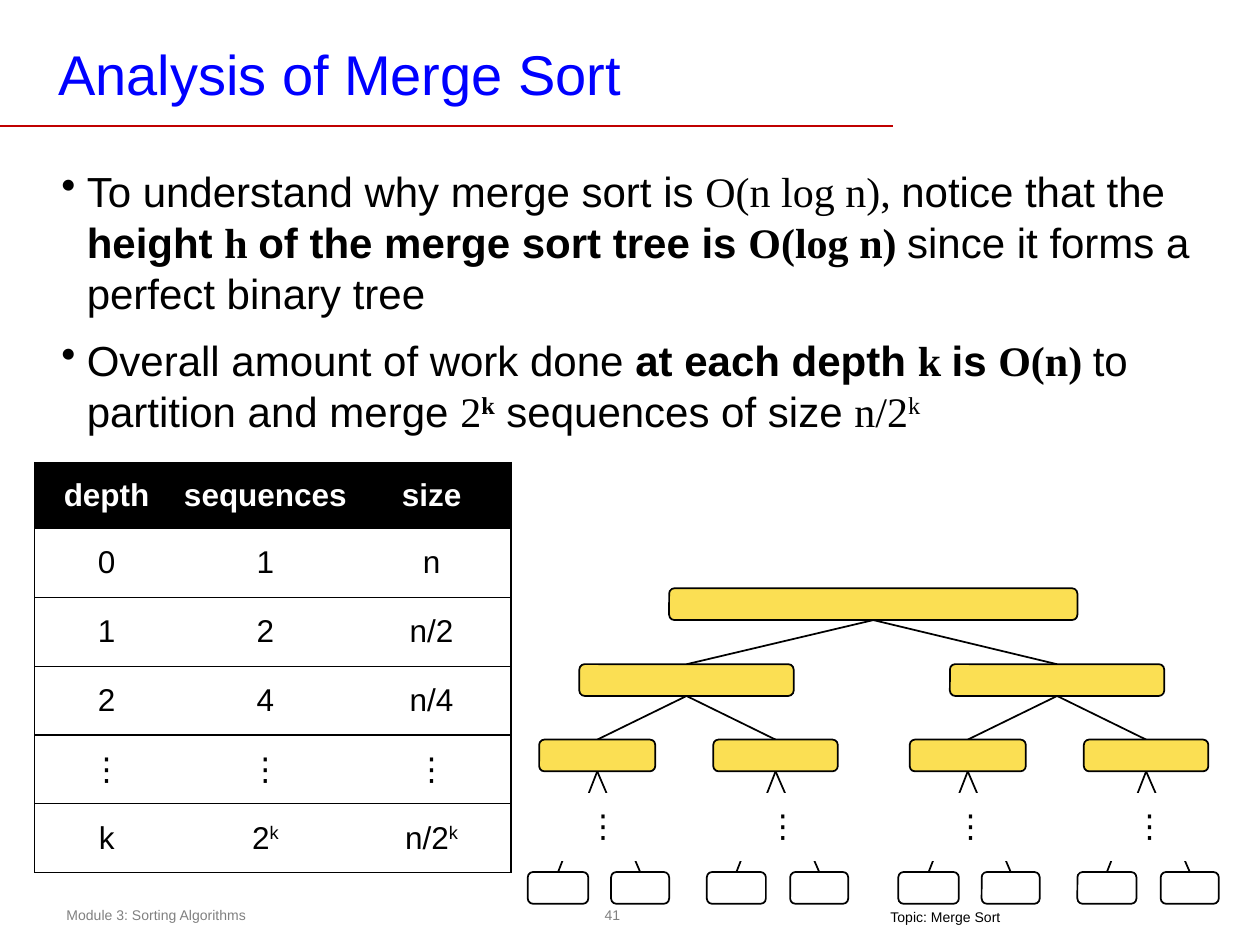
from dataclasses import dataclass

from lxml import etree
from pptx import Presentation
from pptx import util as u
from pptx.dml.color import RGBColor
from pptx.enum import shapes, text
from pptx.oxml.ns import qn


@dataclass(frozen=True)
class Theme:
    ink: str = "000000"
    paper: str = "FFFFFF"
    heading: str = "0000FF"
    rule: str = "C00000"
    muted: str = "808080"
    node: str = "FBDF53"
    sans: str = "Arial"
    serif: str = "Times New Roman"
    title_size: int = 32
    body_size: int = 24
    table_size: int = 18
    footer_size: int = 8


THEME = Theme()
NODE_HEIGHT = 0.64
HALF_OFFSET = 7.47
ROOT = (13.49, 8.23)
HALF_LEVELS = [
    (13.39, [(11.68, 4.32)], THEME.node),
    (14.91, [(10.87, 2.34), (14.38, 2.51)], THEME.node),
    (17.58, [(10.64, 1.22), (12.32, 1.17), (14.25, 1.19), (15.93, 1.17)], None),
]
BULLETS = [
    [("To understand why merge sort is ", ""), ("O(n log n), ", "serif"),
     ("notice that the ", ""), ("height ", "bold"), ("h ", "bold serif"),
     ("of the merge sort tree is ", "bold"), ("O(log n) ", "bold serif"),
     ("since it forms a perfect binary tree", "")],
    [("Overall amount of work done ", ""), ("at each depth ", "bold"),
     ("k ", "bold serif"), ("is ", "bold"), ("O(n) ", "bold serif"),
     ("to partition and merge ", ""), ("2", "serif"), ("k", "bold serif super"),
     (" sequences of size ", ""), ("n/2", "serif"), ("k", "serif super")],
]
DEPTH_ROWS = [
    ["depth", "sequences", "size"],
    ["0", "1", "n"],
    ["1", "2", "n/2"],
    ["2", "4", "n/4"],
    ["⋮", "⋮", "⋮"],
    ["k", "2^k", "n/2^k"],
]


def rgb(color):
    return RGBColor.from_string(color)


def style_font(font, size, color, bold=False):
    font.name = THEME.sans
    font.size = u.Pt(size)
    font.bold = bold
    font.color.rgb = rgb(color)


def add_run(paragraph, words, marks=""):
    run = paragraph.add_run()
    run.text = words
    if "serif" in marks:
        run.font.name = THEME.serif
    if "bold" in marks:
        run.font.bold = True
    if "super" in marks:
        run._r.get_or_add_rPr().set("baseline", "30000")


def add_frame(slide, left, top, width, height, insets=(0.25, 0.13, 0.25, 0.13), wrap=True):
    frame = slide.shapes.add_textbox(
        u.Cm(left), u.Cm(top), u.Cm(width), u.Cm(height)).text_frame
    frame.word_wrap = wrap
    (frame.margin_left, frame.margin_top,
     frame.margin_right, frame.margin_bottom) = map(u.Cm, insets)
    return frame


def add_title(slide, words):
    title = slide.shapes.title
    title.left, title.top, title.width, title.height = map(u.Cm, (0.99, 0.71, 18.85, 1.52))
    frame = title.text_frame
    frame.text = words
    frame.auto_size = text.MSO_AUTO_SIZE.NONE
    frame.vertical_anchor = text.MSO_ANCHOR.MIDDLE
    frame.margin_left = frame.margin_right = u.Cm(0.18)
    frame.margin_top = frame.margin_bottom = u.Cm(0.08)
    heading = frame.paragraphs[0]
    heading.alignment = text.PP_ALIGN.LEFT
    style_font(heading.font, THEME.title_size, THEME.heading)


def add_bullets(slide):
    frame = add_frame(slide, 0.99, 3.2, 23.65, 7.8)
    for index, runs in enumerate(BULLETS):
        point = frame.add_paragraph() if index else frame.paragraphs[0]
        point.line_spacing = 1.01
        if index:
            point.space_before = u.Pt(9)
        properties = point._p.get_or_add_pPr()
        properties.set("marL", str(u.Cm(0.51)))
        properties.set("indent", str(-u.Cm(0.51)))
        etree.SubElement(properties, qn("a:buChar")).set("char", "•")
        style_font(point.font, THEME.body_size, THEME.ink)
        for words, marks in runs:
            add_run(point, words, marks)


def add_line(slide, start, end, color=THEME.ink):
    line = slide.shapes.add_connector(
        shapes.MSO_CONNECTOR.STRAIGHT, *map(u.Cm, (*start, *end)))
    line.line.color.rgb = rgb(color)
    line.line.width = u.Pt(1)
    etree.SubElement(line._element.spPr, qn("a:effectLst"))


def add_node(slide, left, top, width, fill):
    node = slide.shapes.add_shape(
        shapes.MSO_SHAPE.ROUNDED_RECTANGLE,
        u.Cm(left), u.Cm(top), u.Cm(width), u.Cm(NODE_HEIGHT))
    node.shadow.inherit = False
    node.line.color.rgb = rgb(THEME.ink)
    node.line.width = u.Pt(1)
    if fill:
        node.fill.solid()
        node.fill.fore_color.rgb = rgb(fill)
    else:
        node.fill.background()


def add_tree(slide):
    levels = [(11.86, [ROOT], THEME.node)]
    for top, half, fill in HALF_LEVELS:
        mirrored = [(left + HALF_OFFSET, width) for left, width in half]
        levels.append((top, half + mirrored, fill))
    parents = []
    for top, nodes, fill in levels:
        centers = [left + width / 2 for left, width in nodes]
        for index, (left, width) in enumerate(nodes):
            if parents:
                add_line(slide, (centers[index], top), parents[index // 2])
            add_node(slide, left, top, width, fill)
        parents = [(center, top + NODE_HEIGHT) for center in centers]


def set_border(cell, side, visible):
    border = etree.SubElement(cell._tc.get_or_add_tcPr(), qn("a:ln" + side))
    border.set("w", str(u.Pt(0.75)))
    fill = etree.SubElement(border, qn("a:solidFill" if visible else "a:noFill"))
    if visible:
        etree.SubElement(fill, qn("a:srgbClr")).set("val", THEME.ink)


def fill_cell(cell, words, borders, fill, color, bold):
    cell.margin_left = cell.margin_right = cell.margin_top = cell.margin_bottom = 0
    cell.vertical_anchor = text.MSO_ANCHOR.MIDDLE
    for side in "LRTB":
        set_border(cell, side, side in borders)
    cell.fill.solid()
    cell.fill.fore_color.rgb = rgb(fill)
    entry = cell.text_frame.paragraphs[0]
    entry.alignment = text.PP_ALIGN.CENTER
    style_font(entry.font, THEME.table_size, color, bold)
    base, _, exponent = words.partition("^")
    add_run(entry, base)
    if exponent:
        add_run(entry, exponent, "super")


def add_grid(slide, left, top, widths, heights, rows, ruled):
    grid = slide.shapes.add_table(
        len(rows), len(widths), u.Cm(left), u.Cm(top),
        u.Cm(sum(widths)), u.Cm(sum(heights))).table
    grid.first_row = ruled
    grid.horz_banding = False
    for column, width in zip(grid.columns, widths):
        column.width = u.Cm(width)
    for r, (row, height) in enumerate(zip(rows, heights)):
        grid.rows[r].height = u.Cm(height)
        header = ruled and r == 0
        fill, color = (THEME.ink, THEME.paper) if header else (THEME.paper, THEME.ink)
        for c, words in enumerate(row):
            outer = ("L" if c == 0 else "") + ("R" if c == len(row) - 1 else "")
            fill_cell(grid.cell(r, c), words, "TB" + outer if ruled else "",
                      fill, color, header)


def add_footer(slide, words, color, *place, align=text.PP_ALIGN.LEFT, **options):
    label = add_frame(slide, *place, **options).paragraphs[0]
    label.alignment = align
    style_font(label.font, THEME.footer_size, color)
    add_run(label, words)


def main():
    deck = Presentation()
    deck.slide_width, deck.slide_height = u.Cm(25.4), u.Cm(19.05)
    slide = deck.slides.add_slide(deck.slide_layouts[5])
    add_footer(slide, "41", THEME.muted, 12.04, 18.11, 0.61, 0.66,
               align=text.PP_ALIGN.CENTER, insets=(0.1, 0.16, 0.1, 0.1), wrap=False)
    add_footer(slide, "Module 3: Sorting Algorithms", THEME.muted, 1.09, 18.14, 9.25, 0.61)
    add_line(slide, (0, 2.54), (18, 2.54), THEME.rule)
    add_title(slide, "Analysis of Merge Sort")
    add_bullets(slide)
    add_tree(slide)
    add_grid(slide, 0.7, 9.32, [2.9, 3.5, 3.2], [1.33] + [1.39] * 5, DEPTH_ROWS, True)
    add_grid(slide, 10.52, 15.98, [3.28, 3.96, 3.61, 3.61], [1.37], [["⋮"] * 4], False)
    add_footer(slide, "Topic: Merge Sort", THEME.ink, 17.7, 18.31, 2.77, 0.43,
               insets=(0.25, 0, 0.25, 0.1), wrap=False)
    deck.save("out.pptx")


if __name__ == "__main__":
    main()
